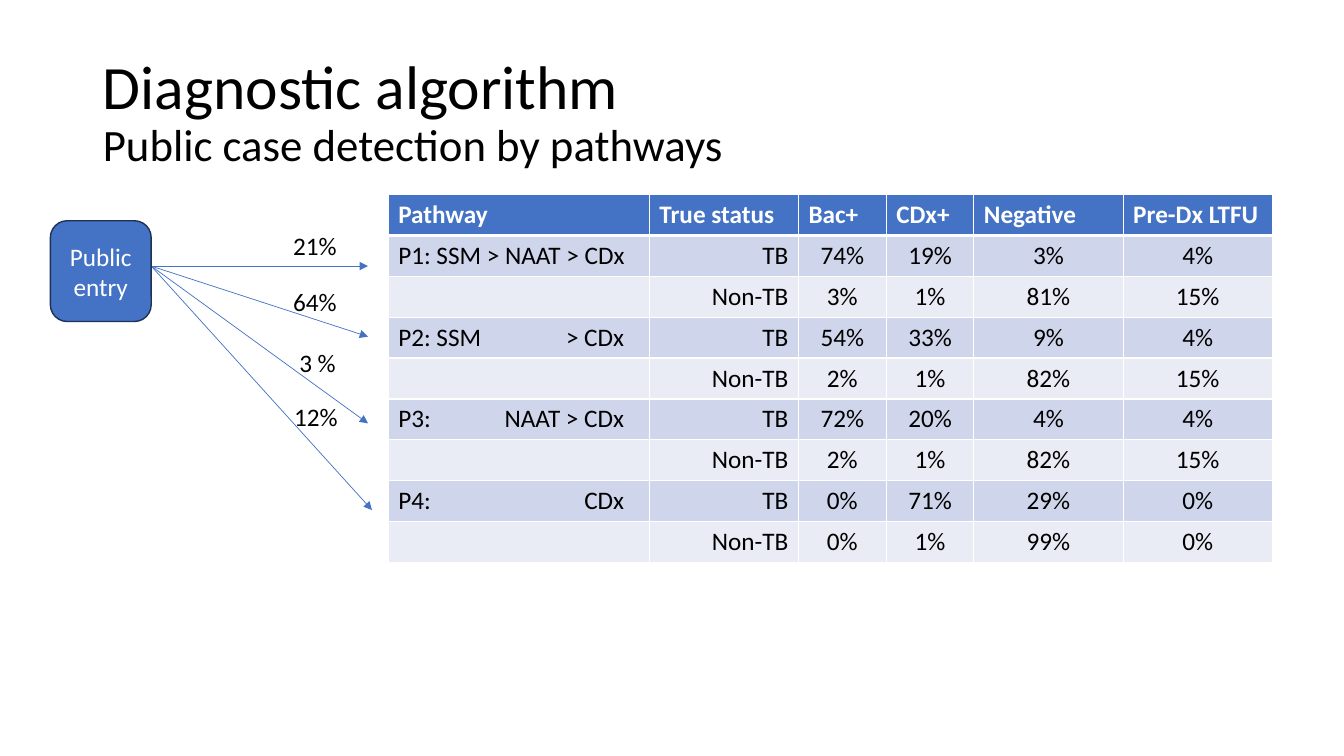
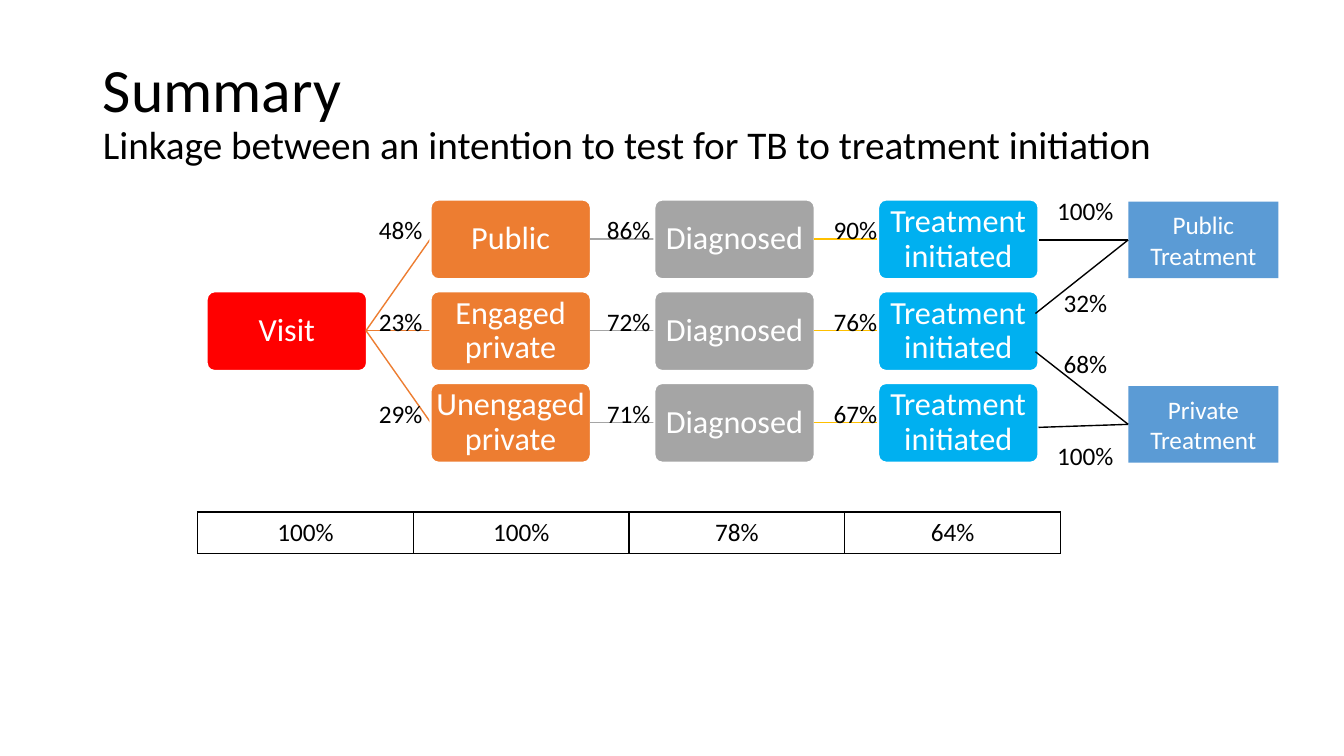
from dataclasses import dataclass

from lxml import etree
from pptx import Presentation
from pptx.dml.color import RGBColor
from pptx.enum.shapes import MSO_CONNECTOR, MSO_SHAPE
from pptx.enum.text import MSO_ANCHOR, PP_ALIGN
from pptx.oxml.ns import qn
from pptx.util import Pt

PX = 9144  # EMU per px, 100 px to the inch
LEFT, CENTER, RIGHT = PP_ALIGN.LEFT, PP_ALIGN.CENTER, PP_ALIGN.RIGHT


@dataclass(frozen=True)
class Theme:
    font: str = "Calibri"
    black: str = "000000"
    white: str = "FFFFFF"
    blue: str = "4472C4"
    navy: str = "1E3256"
    band_dark: str = "CFD5EA"
    band_light: str = "E9EBF5"
    red: str = "FF0000"
    orange: str = "ED7D31"
    grey: str = "A5A5A5"
    gold: str = "FFC000"
    sky: str = "00B0F0"
    steel: str = "5B9BD5"
    title: int = 44
    body: int = 18
    node: int = 23


THEME = Theme()


def px(length):
    return round(length * PX)


class SlideBuilder:
    def __init__(self, theme):
        self.theme = theme
        self.deck = Presentation()
        self.deck.slide_width, self.deck.slide_height = px(1333), px(750)
        self.page = None

    def span(self, para, text, size=None, color=None, bold=False):
        span = para.add_run()
        span.text = text
        font = span.font
        font.name, font.size, font.bold = self.theme.font, Pt(size or self.theme.body), bold
        font.color.rgb = RGBColor.from_string(color or self.theme.black)

    def title_page(self, heading, subtitle, subtitle_size):
        self.page = self.deck.slides.add_slide(self.deck.slide_layouts[5])
        title = self.page.shapes.title
        title.left, title.top, title.width, title.height = px(92), px(40), px(1150), px(145)
        frame = title.text_frame
        frame.word_wrap, frame.vertical_anchor = True, MSO_ANCHOR.MIDDLE
        para = frame.paragraphs[0]
        para.alignment, para.line_spacing = LEFT, 0.9
        self.span(para, heading, self.theme.title)
        para.add_line_break()
        self.span(para, subtitle, subtitle_size)

    def box(self, kind, left, top, width, height, text, fill, outline=None,
            outline_width=1, size=None, margin=10, corner=None, spacing=1.0):
        box = self.page.shapes.add_shape(kind, px(left), px(top), px(width), px(height))
        box.shadow.inherit = False
        if corner is not None:
            box.adjustments[0] = corner
        box.fill.solid()
        box.fill.fore_color.rgb = RGBColor.from_string(fill)
        if outline:
            box.line.color.rgb = RGBColor.from_string(outline)
            box.line.width = Pt(outline_width)
        else:
            box.line.fill.background()
        frame = box.text_frame
        frame.word_wrap, frame.vertical_anchor = True, MSO_ANCHOR.MIDDLE
        frame.margin_left = frame.margin_right = px(margin)
        frame.margin_top = frame.margin_bottom = px(min(margin, 5))
        para = frame.paragraphs[0]
        para.alignment, para.line_spacing = CENTER, spacing
        self.span(para, text, size, self.theme.white)

    def labels(self, left, top, width, height, texts, gaps=(), align=LEFT):
        """Stack labels in one text box, with gaps in points between them."""
        box = self.page.shapes.add_textbox(px(left), px(top), px(width), px(height))
        frame = box.text_frame
        frame.word_wrap = False
        for index, text in enumerate(texts):
            para = frame.add_paragraph() if index else frame.paragraphs[0]
            para.alignment = align
            if index:
                para.space_before = Pt(gaps[index - 1])
            self.span(para, text)

    def line(self, start, end, color, width=1, arrow=False):
        line = self.page.shapes.add_connector(
            MSO_CONNECTOR.STRAIGHT, *(px(value) for value in (*start, *end)))
        line.line.color.rgb = RGBColor.from_string(color)
        line.line.width = Pt(width)
        if arrow:
            etree.SubElement(line.line._get_or_add_ln(), qn("a:tailEnd"), type="triangle")
        etree.SubElement(line._element.spPr, qn("a:effectLst"))

    def table(self, left, top, widths, height, rows, aligns, border,
              fills=(), header=False, tab=None):
        """Draw a table; fills are the header fill, then the two band fills."""
        frame = self.page.shapes.add_table(
            len(rows), len(widths), px(left), px(top), px(sum(widths)), px(height))
        table = frame.table
        table.first_row, table.horz_banding = header, False
        for column, width in zip(table.columns, widths):
            column.width = px(width)
        for row_index, texts in enumerate(rows):
            table.rows[row_index].height = px(height / len(rows))
            is_header = header and row_index == 0
            for cell, text, align in zip(table.rows[row_index].cells, texts, aligns):
                bottom = 3 if is_header else 1
                top_width = 3 if header and row_index == 1 else 1
                self.cell_borders(cell, border, (1, 1, top_width, bottom))
                if fills:
                    cell.fill.solid()
                    fill = fills[0] if is_header else fills[2 - row_index % 2]
                    if not is_header and row_index % 2:
                        fill = fills[1]
                    cell.fill.fore_color.rgb = RGBColor.from_string(fill)
                else:
                    cell.fill.background()
                para = cell.text_frame.paragraphs[0]
                para.alignment = LEFT if is_header else align
                if "\t" in text:
                    self.right_tab(para, tab)
                if text:
                    color = self.theme.white if is_header else self.theme.black
                    self.span(para, text, color=color, bold=is_header)

    @staticmethod
    def right_tab(para, position):
        stops = etree.SubElement(para._p.get_or_add_pPr(), qn("a:tabLst"))
        etree.SubElement(stops, qn("a:tab"), pos=str(px(position)), algn="r")

    @staticmethod
    def cell_borders(cell, color, widths):
        properties = cell._tc.get_or_add_tcPr()
        for side, width in zip("LRTB", widths):
            edge = etree.SubElement(properties, qn(f"a:ln{side}"), w=str(Pt(width)))
            fill = etree.SubElement(edge, qn("a:solidFill"))
            etree.SubElement(fill, qn("a:srgbClr"), val=color)


def add_pathways(slide):
    theme = slide.theme
    slide.title_page("Diagnostic algorithm", "Public case detection by pathways", 32)
    header = ("Pathway", "True status", "Bac+", "CDx+", "Negative", "Pre-Dx LTFU")
    pathways = (
        ("P1: SSM > NAAT > CDx", "74% 19% 3% 4%", "3% 1% 81% 15%"),
        ("P2: SSM\t> CDx", "54% 33% 9% 4%", "2% 1% 82% 15%"),
        ("P3:\tNAAT > CDx", "72% 20% 4% 4%", "2% 1% 82% 15%"),
        ("P4:\tCDx", "0% 71% 29% 0%", "0% 1% 99% 0%"),
    )
    rows = [header]
    for name, positive, negative in pathways:
        rows.append((name, "TB", *positive.split()))
        rows.append(("", "Non-TB", *negative.split()))
    slide.table(385, 193, (259, 148, 87, 87, 148, 148), 365, rows,
                (LEFT, RIGHT) + (CENTER,) * 4, theme.white,
                (theme.blue, theme.band_dark, theme.band_light), header=True, tab=224)
    for end in ((365, 264), (365, 334), (365, 420), (369, 506)):
        slide.line((150, 264), end, theme.blue, 0.5, arrow=True)
    for text, left, top, width in (("21%", 281, 224, 64), ("64%", 281, 279, 64),
                                   ("3 %", 287, 340, 57), ("12%", 282, 393, 64)):
        slide.labels(left, top, width, 40, [text])
    slide.box(MSO_SHAPE.ROUNDED_RECTANGLE, 50, 219, 100, 100, "Public entry",
              theme.blue, theme.navy)


def add_summary(slide):
    theme = slide.theme
    slide.title_page(
        "Summary", "Linkage between an intention to test for TB to treatment initiation", 28)
    first_left, first_top, column_pitch, row_pitch = 205, 198, 222, 91
    width, height, link = 159, 79, 64

    def node(column, row, text, fill):
        slide.box(MSO_SHAPE.ROUNDED_RECTANGLE, first_left + column * column_pitch,
                  first_top + row * row_pitch, width, height, text, fill, theme.white,
                  1.5, theme.node, margin=2, corner=0.1, spacing=0.9)

    def middle(row):
        return first_top + row * row_pitch + 39

    node(0, 1, "Visit", theme.red)
    for row, sector in enumerate(("Public", "Engaged private", "Unengaged private")):
        steps = ((sector, theme.orange, theme.orange),
                 ("Diagnosed", theme.grey, theme.grey),
                 ("Treatment initiated", theme.sky, theme.gold))
        for column, (text, fill, link_color) in enumerate(steps, 1):
            left = first_left + column * column_pitch
            source_row = 1 if column == 1 else row
            slide.line((left - link, middle(source_row)), (left, middle(row)), link_color)
            node(column, row, text, fill)

    slide.table(196, 508, (214,) * 4, 41, [("100%", "100%", "78%", "64%")],
                (CENTER,) * 4, theme.black)
    for left, texts in ((366, ("48%", "23%", "29%")), (592, ("86%", "72%", "71%")),
                        (817, ("90%", "76%", "67%"))):
        slide.labels(left, 208, 64, 222, texts, (44, 44))
    for top, text in ((200, "Public Treatment"), (383, "Private Treatment")):
        slide.box(MSO_SHAPE.RECTANGLE, 1119, top, 149, 76, text, theme.steel)
    slide.labels(1038, 189, 77, 283, ("100%", "32%", "68%", "100%"), (44, 22, 44), CENTER)
    for start, end_y in (((1027, 311), 238), ((1027, 349), 421),
                         ((1030, 424), 421), ((1030, 238), 238)):
        slide.line(start, (1119, end_y), theme.black)


def main():
    slide = SlideBuilder(THEME)
    add_pathways(slide)
    add_summary(slide)
    slide.deck.save("out.pptx")


if __name__ == "__main__":
    main()
